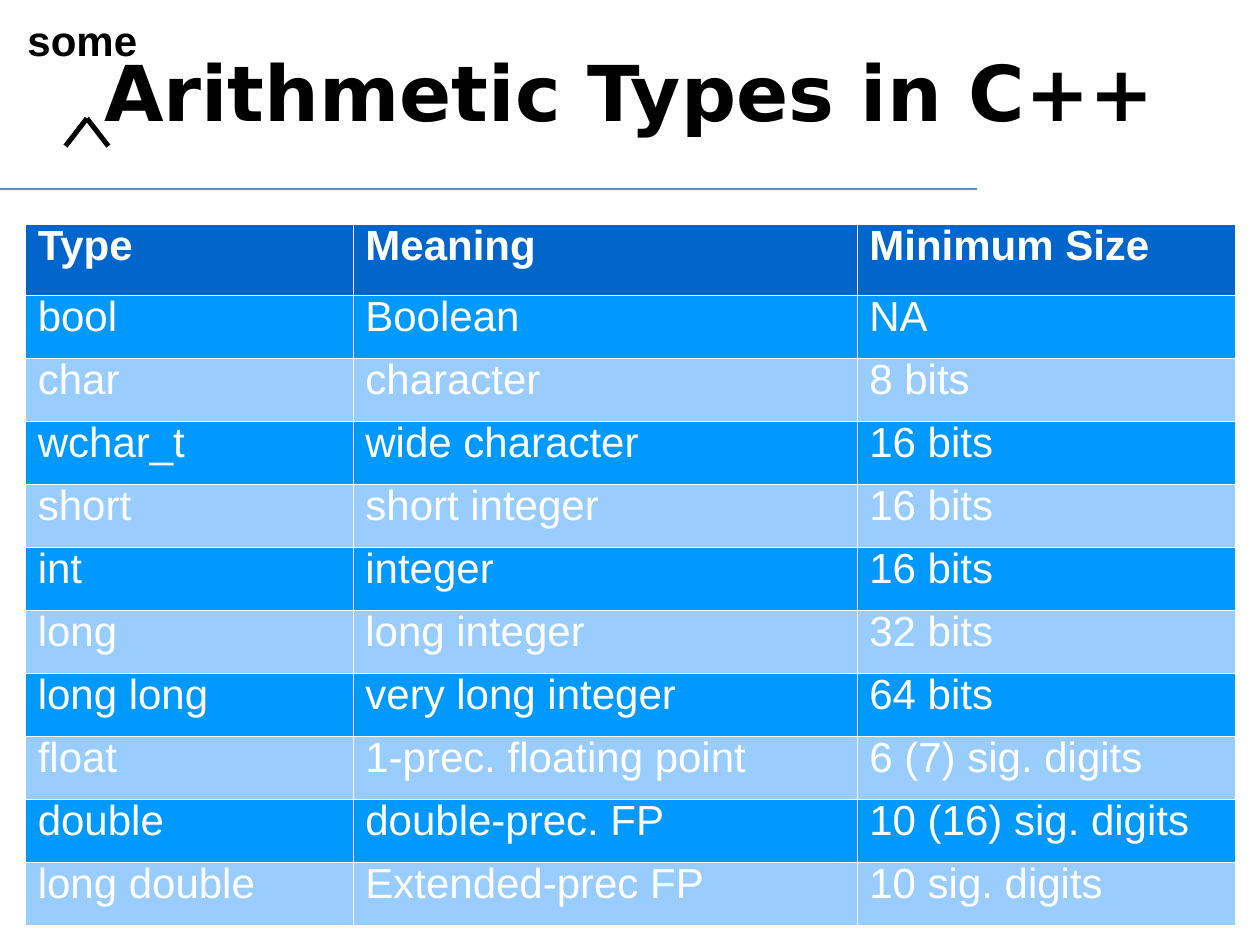
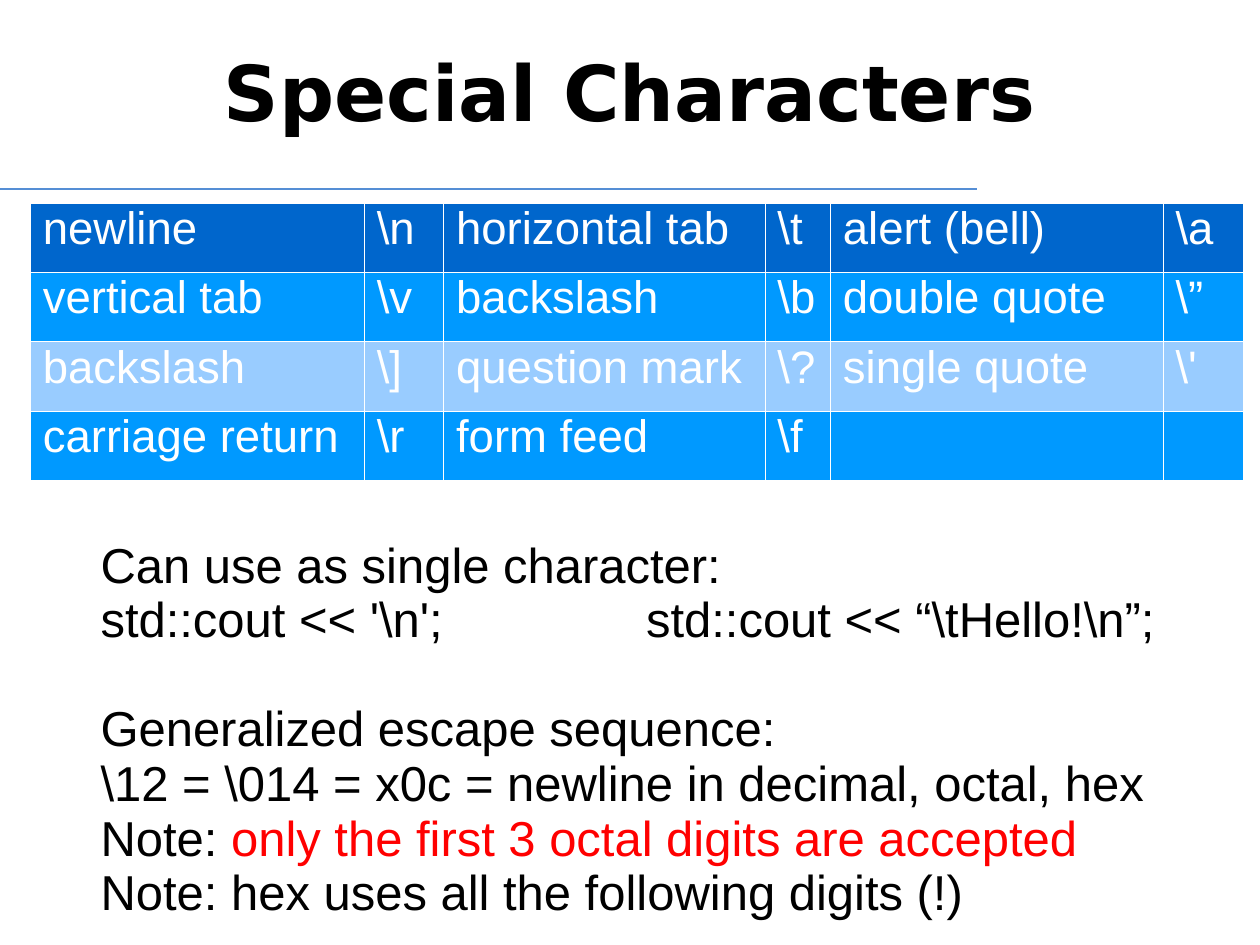
from dataclasses import dataclass

from lxml.etree import SubElement
from pptx import Presentation
from pptx.dml.color import RGBColor
from pptx.enum.shapes import MSO_CONNECTOR
from pptx.enum.text import MSO_ANCHOR, PP_ALIGN
from pptx.oxml.ns import qn
from pptx.util import Inches, Pt


@dataclass(frozen=True)
class Theme:
    text_font: str = "Arial"
    title_font: str = "DejaVu Sans"
    black: str = "000000"
    white: str = "FFFFFF"
    red: str = "FF0000"
    rule: str = "558ED5"
    header: str = "0066CC"
    bands: tuple = ("0099FF", "99CCFF")
    title_size: int = 44
    body_size: int = 28
    escape_size: int = 26
    type_size: int = 24
    text_spacing: float = 0.93
    cell_border: float = 0.06


THEME = Theme()

ARITHMETIC_TYPES = [
    ("Type", "Meaning", "Minimum Size"),
    ("bool", "Boolean", "NA"),
    ("char", "character", "8 bits"),
    ("wchar_t", "wide character", "16 bits"),
    ("short", "short integer", "16 bits"),
    ("int", "integer", "16 bits"),
    ("long", "long integer", "32 bits"),
    ("long long", "very long integer", "64 bits"),
    ("float", "1-prec. floating point", "6 (7) sig. digits"),
    ("double", "double-prec. FP", "10 (16) sig. digits"),
    ("long double", "Extended-prec FP", "10 sig. digits"),
]

ESCAPES = [
    ("newline", r"\n", "horizontal tab", r"\t", "alert (bell)", r"\a"),
    ("vertical tab", r"\v", "backslash", r"\b", "double quote", r"\”"),
    ("backslash", r"\]", "question mark", r"\?", "single quote", r"\'"),
    ("carriage return", r"\r", "form feed", r"\f", "", ""),
]

SINGLE_CHARACTER_USE = [
    [("Can use as single character:", THEME.black)],
    [(r"std::cout << '\n';" + "\t" + r"std::cout << “\tHello!\n”;", THEME.black)],
]

GENERALIZED_ESCAPES = [
    [("Generalized escape sequence:", THEME.black)],
    [(r"\12 = \014 = x0c = newline in decimal, octal, hex", THEME.black)],
    [("Note: ", THEME.black),
     ("only the first 3 octal digits are accepted", THEME.red)],
    [("Note: hex uses all the following digits (!)", THEME.black)],
]


def add_run(paragraph, text, size, color, bold=False, font_name=THEME.text_font):
    run = paragraph.add_run()
    run.text = text
    run.font.name = font_name
    run.font.size = Pt(size)
    run.font.bold = bold
    run.font.color.rgb = RGBColor.from_string(color)


def add_line(slide, start, end, color, width):
    line = slide.shapes.add_connector(
        MSO_CONNECTOR.STRAIGHT, *[Inches(value) for value in (*start, *end)])
    line.line.color.rgb = RGBColor.from_string(color)
    line.line.width = Pt(width)
    SubElement(line.element.spPr, qn("a:effectLst"))


def add_text_box(slide, box, margin_top):
    frame = slide.shapes.add_textbox(*[Inches(value) for value in box]).text_frame
    frame.word_wrap = True
    frame.margin_top = Inches(margin_top)
    return frame


def add_titled_slide(presentation, title_text):
    """Add a slide with the shared title style and the rule below it."""
    slide = presentation.slides.add_slide(presentation.slide_layouts[5])
    add_line(slide, (0, 1.5), (7.75, 1.5), THEME.rule, 0.75)
    title = slide.shapes.title
    title.left, title.top = Inches(0.5), Inches(0.3)
    title.width, title.height = Inches(9), Inches(1.25)
    frame = title.text_frame
    frame.vertical_anchor = MSO_ANCHOR.TOP
    frame.margin_top = Inches(0.05)
    paragraph = frame.paragraphs[0]
    paragraph.alignment = PP_ALIGN.CENTER
    add_run(paragraph, title_text, THEME.title_size, THEME.black, True,
            THEME.title_font)
    return slide


def set_cell_borders(cell):
    properties = cell._tc.get_or_add_tcPr()
    for position, side in enumerate(("a:lnL", "a:lnR", "a:lnT", "a:lnB")):
        border = SubElement(properties, qn(side), w=str(Pt(THEME.cell_border)))
        fill = SubElement(border, qn("a:solidFill"))
        SubElement(fill, qn("a:srgbClr"), val=THEME.white)
        properties.insert(position, border)


def add_banded_table(slide, left, top, columns, row_heights, rows, size,
                     line_spacing, bold_header=False):
    table = slide.shapes.add_table(
        len(rows), len(columns), Inches(left), Inches(top),
        Inches(sum(columns)), Inches(sum(row_heights))).table
    for column, width in zip(table.columns, columns):
        column.width = Inches(width)
    for row_index, texts in enumerate(rows):
        table.rows[row_index].height = Inches(row_heights[row_index])
        is_header = row_index == 0
        fill = THEME.header if is_header else THEME.bands[(row_index - 1) % 2]
        for column_index, text in enumerate(texts):
            cell = table.cell(row_index, column_index)
            cell.fill.solid()
            cell.fill.fore_color.rgb = RGBColor.from_string(fill)
            set_cell_borders(cell)
            paragraph = cell.text_frame.paragraphs[0]
            paragraph.line_spacing = line_spacing
            if text:
                add_run(paragraph, text, size, THEME.white,
                        bold_header and is_header)


def add_insertion_mark(slide, left, top):
    """Add the word "some" and the caret that inserts it into the title."""
    paragraph = add_text_box(slide, (left, top, 1.2, 0.48), 0.07).paragraphs[0]
    paragraph.line_spacing = THEME.text_spacing
    add_run(paragraph, "some", THEME.type_size, THEME.black, True)
    tip = (left + 0.57, top + 0.86)
    for offset in (-0.17, 0.17):
        add_line(slide, (tip[0] + offset, tip[1] + 0.22), tip, THEME.black, 2.89)


def add_escape_notes(slide, box):
    frame = add_text_box(slide, box, 0.08)
    for index, runs in enumerate(SINGLE_CHARACTER_USE + GENERALIZED_ESCAPES):
        paragraph = frame.add_paragraph() if index else frame.paragraphs[0]
        paragraph.line_spacing = THEME.text_spacing
        if index == len(SINGLE_CHARACTER_USE):
            paragraph.space_before = Pt(31)
        for text, color in runs:
            if "\t" in text:
                tabs = SubElement(paragraph._p.get_or_add_pPr(), qn("a:tabLst"))
                SubElement(tabs, qn("a:tab"), pos=str(Inches(4.33)), algn="l")
            add_run(paragraph, text, THEME.body_size, color)


def build_arithmetic_types(presentation):
    slide = add_titled_slide(presentation, "Arithmetic Types in C++")
    row_heights = [0.56] + [0.5] * (len(ARITHMETIC_TYPES) - 1)
    add_banded_table(slide, 0.2, 1.78, (2.6, 4, 3), row_heights,
                     ARITHMETIC_TYPES, THEME.type_size, 0.8, bold_header=True)
    add_insertion_mark(slide, 0.12, 0.08)


def build_special_characters(presentation):
    slide = add_titled_slide(presentation, "Special Characters")
    add_banded_table(slide, 0.24, 1.61, (2.65, 0.63, 2.55, 0.52, 2.64, 0.64),
                     [0.55] * len(ESCAPES), ESCAPES, THEME.escape_size, 0.87)
    add_escape_notes(slide, (0.7, 4.2, 8.8, 3.12))


def main():
    presentation = Presentation()
    presentation.slide_width = Inches(10)
    presentation.slide_height = Inches(7.5)
    build_arithmetic_types(presentation)
    build_special_characters(presentation)
    presentation.save("out.pptx")


if __name__ == "__main__":
    main()
